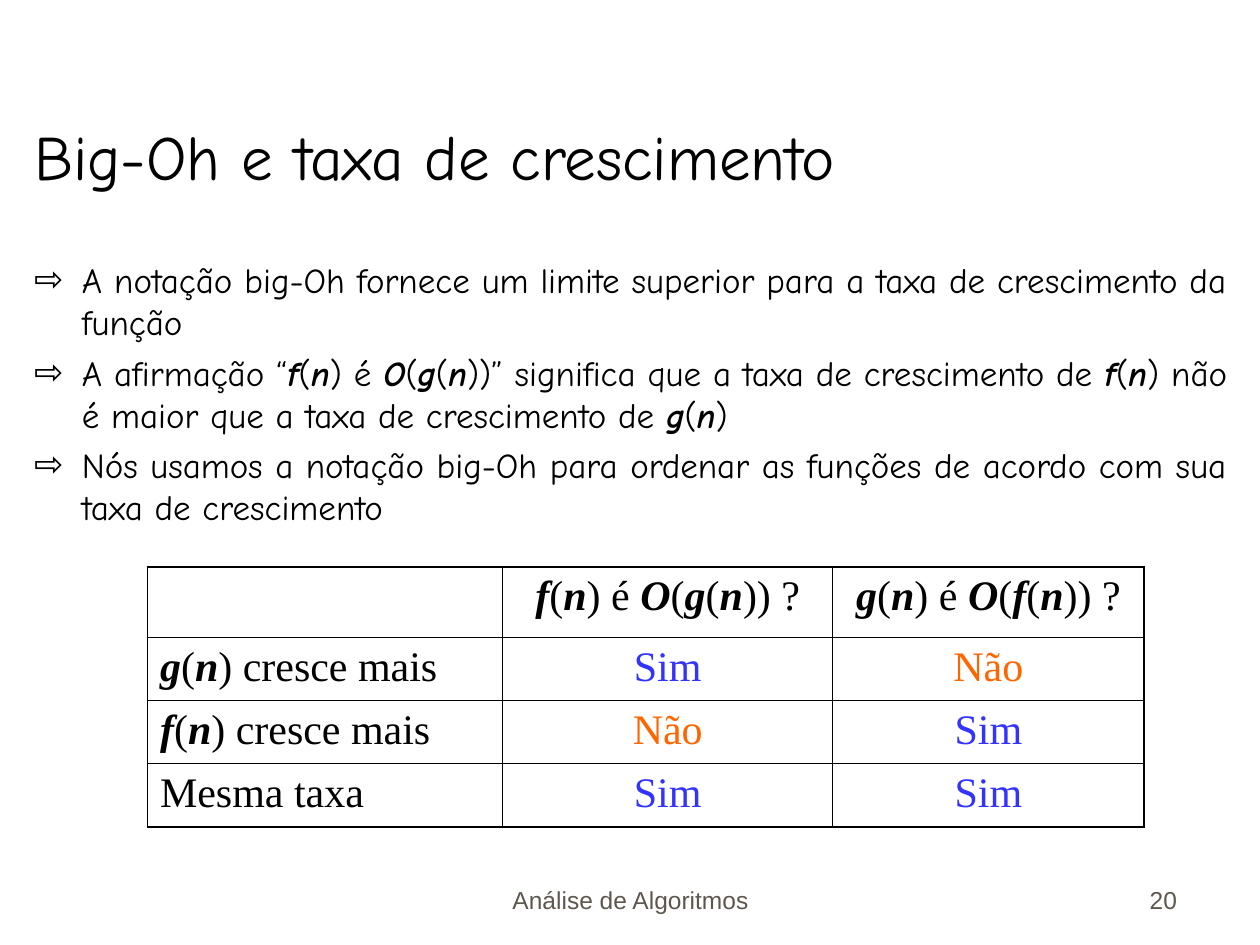
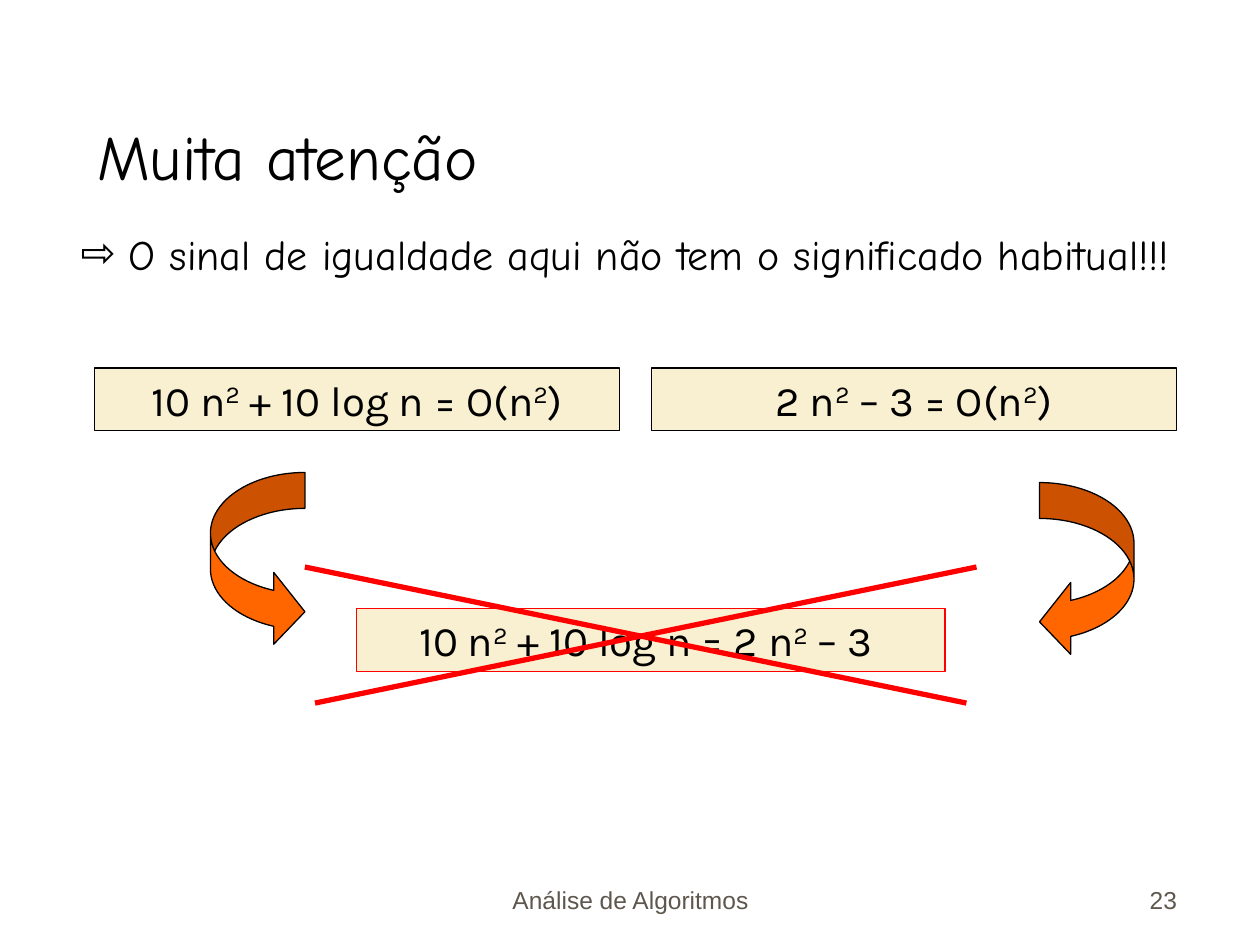
from lxml.etree import SubElement
from pptx import Presentation
from pptx.dml.color import RGBColor
from pptx.enum.shapes import MSO_CONNECTOR, MSO_SHAPE
from pptx.enum.text import MSO_ANCHOR, MSO_AUTO_SIZE, PP_ALIGN
from pptx.oxml.ns import qn
from pptx.util import Inches, Pt

BLACK, RED, BLUE, ORANGE = "000000", "FF0000", "3333FF", "FF6600"
CREAM, GREY = "F8F0D0", "5E574E"
HAND, SERIF, SANS, FOOTER_FONT = "Comic Neue", "Times New Roman", "Karla", "Arial"

FOOTER = "Análise de Algoritmos"

# Text between asterisks is a bold italic symbol.
GROWTH = {
    "number": 20,
    "title": "Big-Oh e taxa de crescimento",
    "title_box": (0.17, 0.5, 9.75, 1.08),
    "bullets": [
        "A notação big-Oh fornece um limite superior para a taxa de crescimento da função",
        "A afirmação “*f*(*n*) é *O*(*g*(*n*))” significa que a taxa de crescimento de "
        "*f*(*n*) não é maior que a taxa de crescimento de *g*(*n*)",
        "Nós usamos a notação big-Oh para ordenar as funções de acordo com sua taxa "
        "de crescimento",
    ],
    "body_box": (0.17, 2, 9.67, 2.83),
    "body_format": {"size": 20, "before": 5, "align": PP_ALIGN.JUSTIFY},
}
COMPARISON = [
    ["", "*f*(*n*) é *O*(*g*(*n*)) ?", "*g*(*n*) é *O*(*f*(*n*)) ?"],
    ["*g*(*n*) cresce mais", "Sim", "Não"],
    ["*f*(*n*) cresce mais", "Não", "Sim"],
    ["Mesma taxa", "Sim", "Sim"],
]
ANSWER_COLORS = {"Sim": BLUE, "Não": ORANGE}
COL_WIDTHS = [2.82, 2.62, 2.47]
ROW_HEIGHTS = [0.56, 0.5, 0.5, 0.5]

ATTENTION = {
    "number": 23,
    "title": "Muita atenção",
    "title_box": (0.67, 0.33, 8.92, 1.25),
    "bullets": ["O sinal de igualdade aqui não tem o significado habitual!!!"],
    "body_box": (0.54, 1.76, 9.04, 4.82),
    "body_format": {"size": 24, "before": 6, "align": PP_ALIGN.LEFT},
}
# Text between carets is superscript.
FORMULAS = [
    ("10 n^2^ + 10 log n = O(n^2^)", (0.75, 2.92, 4.17, 0.5), BLACK),
    ("2 n^2^ – 3 = O(n^2^)", (5.17, 2.92, 4.17, 0.5), BLACK),
    ("10 n^2^ + 10 log n = 2 n^2^ – 3 ", (2.83, 4.83, 4.67, 0.5), RED),
]
CROSS = [(2.5, 5.58, 7.75, 4.5), (7.67, 5.58, 2.42, 4.5)]
CURVED_ARROWS = [
    (MSO_SHAPE.CURVED_RIGHT_ARROW, (1.67, 3.75, 0.75, 1.39)),
    (MSO_SHAPE.CURVED_LEFT_ARROW, (8.25, 3.83, 0.75, 1.39)),
]
ARROW_ADJUSTMENTS = (0.38, 0.76, 0.33)


def rgb(color):
    return RGBColor.from_string(color)


def inches(values):
    return [Inches(v) for v in values]


def format_run(r, size, font, color):
    r.font.size, r.font.name = Pt(size), font
    r.font.color.rgb = rgb(color)


def write(p, text, size, font, color=BLACK):
    """Fill a paragraph, turning *symbol* bold italic and ^power^ superscript."""
    for i, part in enumerate(text.split("*")):
        for j, piece in enumerate(part.split("^")):
            if not piece:
                continue
            r = p.add_run()
            r.text = piece
            format_run(r, size, font, color)
            if i % 2:
                r.font.bold = r.font.italic = True
            if j % 2:
                r.font._element.set("baseline", "30000")


def place(sp, box):
    sp.left, sp.top, sp.width, sp.height = inches(box)


def add_bullet(p):
    pPr = p._p.get_or_add_pPr()
    pPr.set("marL", str(Inches(0.38)))
    pPr.set("indent", str(-Inches(0.38)))
    clr = SubElement(pPr, qn("a:buClr"))
    SubElement(clr, qn("a:srgbClr")).set("val", BLACK)
    SubElement(pPr, qn("a:buChar")).set("char", "⇨")


def add_footer(slide, text, box, align):
    tf = slide.shapes.add_textbox(*inches(box)).text_frame
    tf.word_wrap = True
    tf.vertical_anchor = MSO_ANCHOR.BOTTOM
    p = tf.paragraphs[0]
    p.alignment = align
    write(p, text, 14, FOOTER_FONT, GREY)


def add_base_slide(prs, content):
    """Add a slide with its title, bullets, footer and number."""
    slide = prs.slides.add_slide(prs.slide_layouts[1])
    title, body = slide.placeholders
    place(title, content["title_box"])
    tf = title.text_frame
    tf.auto_size = MSO_AUTO_SIZE.NONE
    tf.vertical_anchor = MSO_ANCHOR.BOTTOM
    tf.paragraphs[0].alignment = PP_ALIGN.LEFT
    write(tf.paragraphs[0], content["title"], 36, HAND)

    place(body, content["body_box"])
    tf = body.text_frame
    tf.auto_size = MSO_AUTO_SIZE.NONE
    fmt = content["body_format"]
    for i, text in enumerate(content["bullets"]):
        p = tf.add_paragraph() if i else tf.paragraphs[0]
        p.alignment = fmt["align"]
        p.space_before = Pt(fmt["before"])
        add_bullet(p)
        write(p, text, fmt["size"], HAND)

    add_footer(slide, FOOTER, (3.42, 6.81, 3.17, 0.5), PP_ALIGN.CENTER)
    add_footer(slide, str(content["number"]), (7.36, 6.81, 2.08, 0.5), PP_ALIGN.RIGHT)
    return slide


def set_borders(cell, outer):
    """Draw the four cell borders, thicker on the sides flagged as outer."""
    tcPr = cell._tc.get_or_add_tcPr()
    for side, is_outer in outer.items():
        ln = SubElement(tcPr, qn(f"a:ln{side}"), w=str(Pt(1.08 if is_outer else 0.45)))
        fill = SubElement(ln, qn("a:solidFill"))
        SubElement(fill, qn("a:srgbClr")).set("val", BLACK)


def add_comparison_table(slide):
    n_rows, n_cols = len(ROW_HEIGHTS), len(COL_WIDTHS)
    box = (1.17, 4.5, sum(COL_WIDTHS), sum(ROW_HEIGHTS))
    table = slide.shapes.add_table(n_rows, n_cols, *inches(box)).table
    table.first_row = table.horz_banding = False
    for col, width in zip(table.columns, COL_WIDTHS):
        col.width = Inches(width)
    for row, height in zip(table.rows, ROW_HEIGHTS):
        row.height = Inches(height)
    for i, texts in enumerate(COMPARISON):
        for j, text in enumerate(texts):
            cell = table.cell(i, j)
            set_borders(cell, {"L": j == 0, "R": j == n_cols - 1,
                               "T": i == 0, "B": i == n_rows - 1})
            cell.fill.background()
            p = cell.text_frame.paragraphs[0]
            p.alignment = PP_ALIGN.CENTER if j else PP_ALIGN.LEFT
            write(p, text, 24, SERIF, ANSWER_COLORS.get(text, BLACK))


def add_filled_shape(slide, kind, box, fill, line):
    sp = slide.shapes.add_shape(kind, *inches(box))
    sp.shadow.inherit = False
    sp.fill.solid()
    sp.fill.fore_color.rgb = rgb(fill)
    sp.line.color.rgb = rgb(line)
    sp.line.width = Pt(0.75)
    return sp


def add_formula(slide, text, box, line):
    tf = add_filled_shape(slide, MSO_SHAPE.RECTANGLE, box, CREAM, line).text_frame
    tf.word_wrap = True
    tf.vertical_anchor = MSO_ANCHOR.TOP
    p = tf.paragraphs[0]
    p.alignment = PP_ALIGN.CENTER
    write(p, text, 24, SANS)


def add_cross_line(slide, ends):
    line = slide.shapes.add_connector(MSO_CONNECTOR.STRAIGHT, *inches(ends))
    line.line.color.rgb = rgb(RED)
    line.line.width = Pt(3)
    SubElement(line._element.spPr, qn("a:effectLst"))


def add_curved_arrow(slide, kind, box):
    sp = add_filled_shape(slide, kind, box, ORANGE, BLACK)
    for i, value in enumerate(ARROW_ADJUSTMENTS):
        sp.adjustments[i] = value


def main():
    prs = Presentation()
    prs.slide_width, prs.slide_height = Inches(10), Inches(7.5)

    add_comparison_table(add_base_slide(prs, GROWTH))

    slide = add_base_slide(prs, ATTENTION)
    for formula in FORMULAS:
        add_formula(slide, *formula)
    for ends in CROSS:
        add_cross_line(slide, ends)
    for arrow in CURVED_ARROWS:
        add_curved_arrow(slide, *arrow)

    prs.save("out.pptx")


if __name__ == "__main__":
    main()
